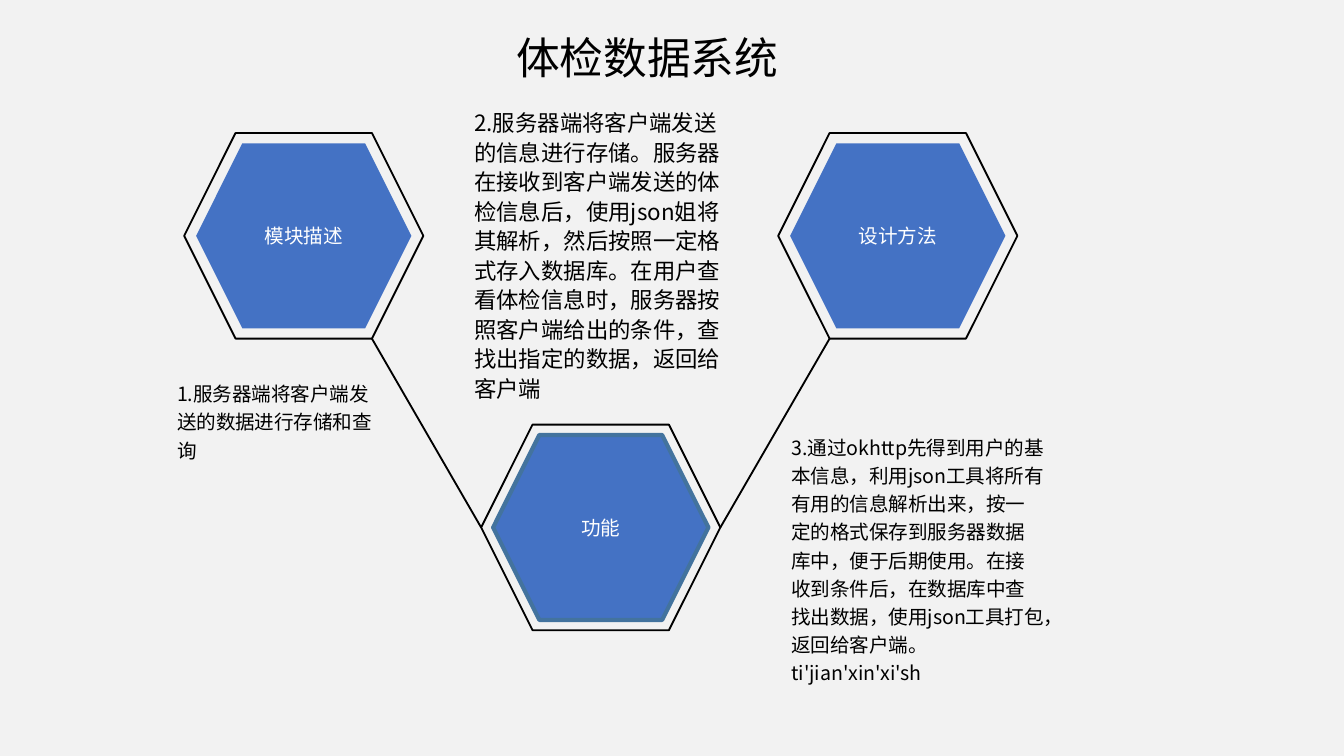
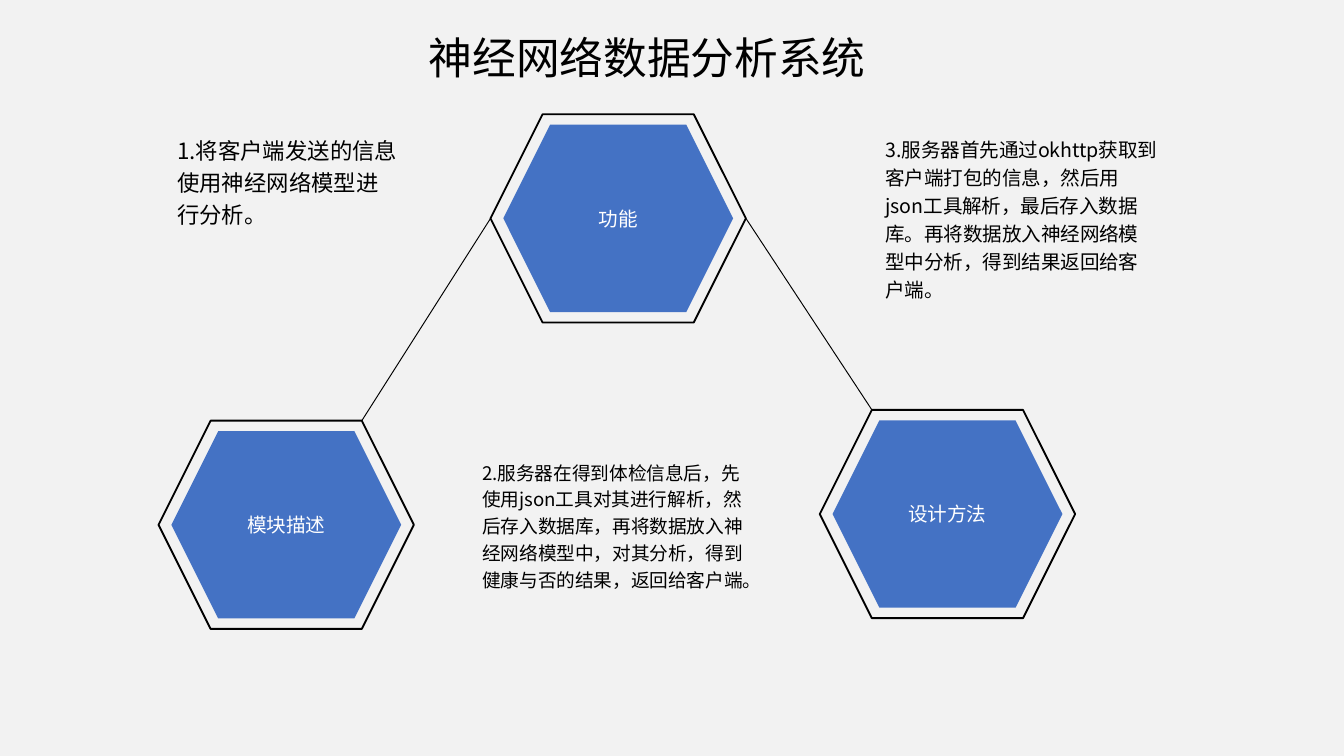
from lxml import etree
from pptx import Presentation
from pptx.dml.color import RGBColor
from pptx.enum import shapes, text
from pptx.oxml import ns
from pptx.util import Inches, Pt

FONT = "Noto Sans CJK SC"
BACKGROUND, BLACK, WHITE = "F2F2F2", "000000", "FFFFFF"
BLUE, BLUE_EDGE = "4472C4", "43739E"
SLIDE_WIDTH = 10
SLIDE_HEIGHT = SLIDE_WIDTH * 9 / 16
TITLE_BOX = (1.37, 0.18, 6.89, 0.5)
INNER_SCALE = 0.9
CORNER = 0.25  # horizontal inset of a hexagon's corners, as a share of its height


def color(hex_string):
    return RGBColor.from_string(hex_string)


def place(shape, box):
    shape.left, shape.top, shape.width, shape.height = map(Inches, box)


def write(shape, words, size, hex_string=BLACK, align=text.PP_ALIGN.LEFT,
          anchor=text.MSO_ANCHOR.TOP, spacing=1.0):
    frame = shape.text_frame
    frame.text = words
    frame.word_wrap = True
    frame.auto_size = text.MSO_AUTO_SIZE.NONE
    frame.vertical_anchor = anchor
    paragraph = frame.paragraphs[0]
    paragraph.alignment = align
    paragraph.line_spacing = spacing
    for run in paragraph.runs:
        run.font.size = Pt(size)
        run.font.name = FONT
        run.font.color.rgb = color(hex_string)
        east_asian = etree.SubElement(run.font._element, ns.qn("a:ea"))
        east_asian.set("typeface", FONT)


def add_title(slide, words):
    title = slide.shapes.title
    place(title, TITLE_BOX)
    write(title, words, 23.4, align=text.PP_ALIGN.CENTER)


def add_note(slide, box, words, size=10.5, anchor=text.MSO_ANCHOR.TOP, spacing=1.2):
    note = slide.shapes.add_textbox(*map(Inches, box))
    write(note, words, size, anchor=anchor, spacing=spacing)


def add_hexagon(slide, box, fill=None, edge=None, width=1):
    shape = slide.shapes.add_shape(shapes.MSO_SHAPE.HEXAGON, *map(Inches, box))
    shape.shadow.inherit = False
    if fill:
        shape.fill.solid()
        shape.fill.fore_color.rgb = color(fill)
    else:
        shape.fill.background()
    if edge:
        shape.line.color.rgb = color(edge)
        shape.line.width = Pt(width)
    else:
        shape.line.fill.background()
    return shape


def add_topic(slide, box, label, edge=None):
    """Draw a labelled hexagon centred in an outlined one; return the outer corners."""
    left, top, width, height = box
    margin = (1 - INNER_SCALE) / 2
    add_hexagon(slide, box, edge=BLACK)
    inner_box = (left + width * margin, top + height * margin,
                 width * INNER_SCALE, height * INNER_SCALE)
    inner = add_hexagon(slide, inner_box, BLUE, edge, 2.25)
    frame = inner.text_frame
    frame.margin_left = frame.margin_right = frame.margin_top = frame.margin_bottom = 0
    write(inner, label, 10.5, WHITE, text.PP_ALIGN.CENTER, text.MSO_ANCHOR.MIDDLE)

    right, bottom, inset = left + width, top + height, height * CORNER
    return {
        "left": (left, top + height / 2),
        "right": (right, top + height / 2),
        "top left": (left + inset, top),
        "top right": (right - inset, top),
        "bottom left": (left + inset, bottom),
        "bottom right": (right - inset, bottom),
    }


def add_link(slide, start, end, width):
    link = slide.shapes.add_connector(shapes.MSO_CONNECTOR.STRAIGHT,
                                      *map(Inches, start + end))
    link.line.color.rgb = color(BLACK)
    link.line.width = Pt(width)
    etree.SubElement(link._element.spPr, ns.qn("a:effectLst"))


def add_topics(slide, size, corners, side, link_width, function_edge=None):
    """Draw the three topics; the outer two meet the middle one from their given side."""
    description, function, method = [
        add_topic(slide, corner + size, label, edge)
        for corner, label, edge in zip(corners, ("模块描述", "功能", "设计方法"),
                                       (None, function_edge, None))
    ]
    add_link(slide, description[f"{side} right"], function["left"], link_width)
    add_link(slide, function["right"], method[f"{side} left"], link_width)


def new_slide(presentation, title):
    slide = presentation.slides.add_slide(presentation.slide_layouts[5])
    add_title(slide, title)
    return slide


def build_examination_slide(presentation):
    slide = new_slide(presentation, "体检数据系统")
    add_topics(slide, (1.78, 1.53), [(1.37, 0.99), (3.58, 3.16), (5.79, 0.99)],
               "bottom", 1, BLUE_EDGE)
    add_note(slide, (1.22, 2.76, 1.74, 2.61), "1.服务器端将客户端发送的数据进行存储和查询")
    add_note(slide, (5.79, 3.16, 2.08, 2.21),
             "3.通过okhttp先得到用户的基本信息，利用json工具将所有有用的信息解析出来，"
             "按一定的格式保存到服务器数据库中，便于后期使用。在接收到条件后，"
             "在数据库中查找出数据，使用json工具打包，返回给客户端。ti'jian'xin'xi'sh")
    add_note(slide, (3.43, 0.66, 2.08, 2.38),
             "2.服务器端将客户端发送的信息进行存储。服务器在接收到客户端发送的体检信息后，"
             "使用json姐将其解析，然后按照一定格式存入数据库。在用户查看体检信息时，"
             "服务器按照客户端给出的条件，查找出指定的数据，返回给客户端",
             12, text.MSO_ANCHOR.BOTTOM, 1.1)


def build_network_slide(presentation):
    slide = new_slide(presentation, "神经网络数据分析系统")
    add_topics(slide, (1.9, 1.55), [(1.18, 3.13), (3.65, 0.85), (6.1, 3.05)],
               "top", 0.5)
    add_note(slide, (1.22, 0.93, 1.86, 2.64),
             "1.将客户端发送的信息使用神经网络模型进行分析。", 12)
    add_note(slide, (6.49, 0.94, 2.22, 2.18),
             "3.服务器首先通过okhttp获取到客户端打包的信息，然后用json工具解析，"
             "最后存入数据库。再将数据放入神经网络模型中分析，得到结果返回给客户端。")
    add_note(slide, (3.49, 2.79, 2.22, 1.66),
             "2.服务器在得到体检信息后，先使用json工具对其进行解析，然后存入数据库，"
             "再将数据放入神经网络模型中，对其分析，得到健康与否的结果，返回给客户端。",
             10, text.MSO_ANCHOR.BOTTOM)


def main():
    presentation = Presentation()
    presentation.slide_width = Inches(SLIDE_WIDTH)
    presentation.slide_height = Inches(SLIDE_HEIGHT)
    background = presentation.slide_master.background.fill
    background.solid()
    background.fore_color.rgb = color(BACKGROUND)
    build_examination_slide(presentation)
    build_network_slide(presentation)
    presentation.save("out.pptx")


if __name__ == "__main__":
    main()
